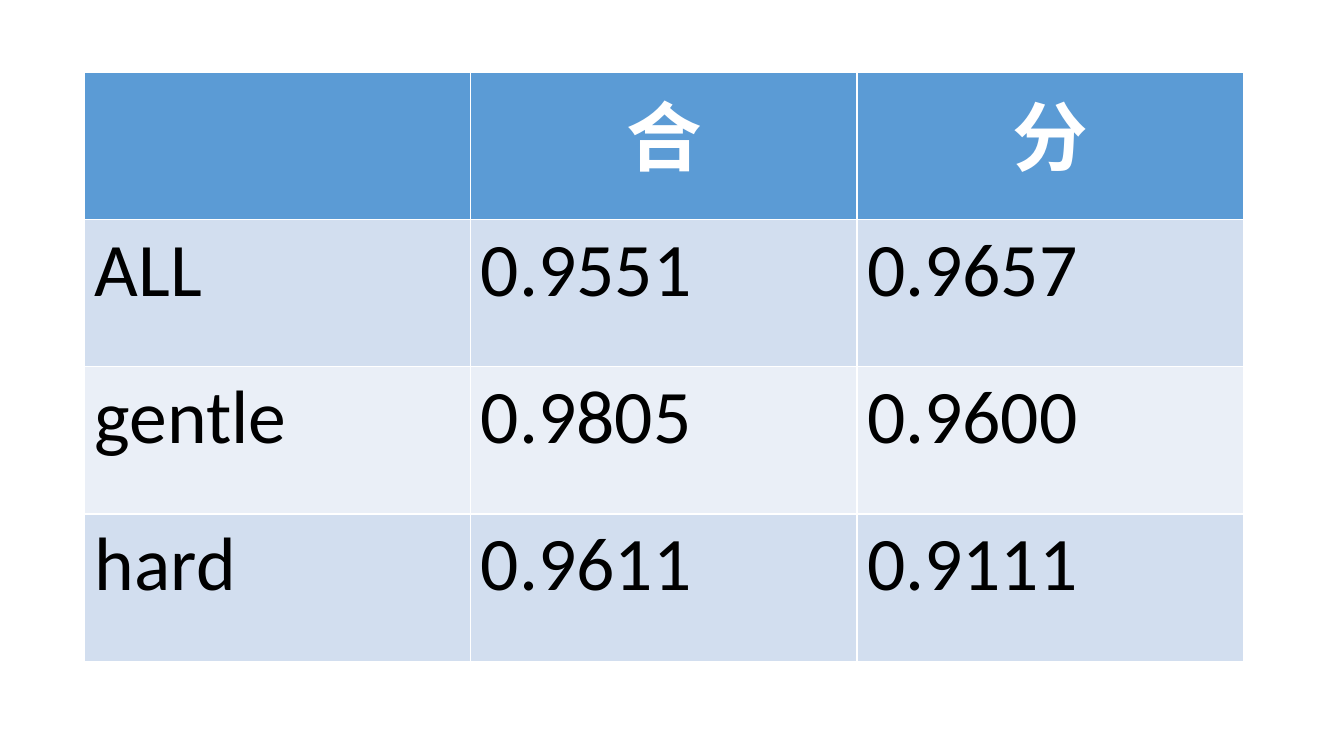
import pptx
import pptx.dml.color
import pptx.enum.text
import pptx.util

RGBColor = pptx.dml.color.RGBColor
Inches = pptx.util.Inches
ALIGN = pptx.enum.text.PP_ALIGN

# Content: the first row is the header
SCORES = [
    ("", "合", "分"),
    ("ALL", "0.9551", "0.9657"),
    ("gentle", "0.9805", "0.9600"),
    ("hard", "0.9611", "0.9111"),
]

# Formats
HEADER_BLUE = RGBColor(0x5B, 0x9B, 0xD5)
BAND_FILLS = (RGBColor(0xEA, 0xEF, 0xF7), RGBColor(0xD2, 0xDE, 0xEF))
WHITE = RGBColor(0xFF, 0xFF, 0xFF)
BLACK = RGBColor(0x00, 0x00, 0x00)
FONT = {"name": "Calibri", "size": pptx.util.Pt(54)}
HEADER_FONT = {**FONT, "bold": True}
BODY_FONT = {**FONT, "bold": False}

# Grid
LEFT, TOP = Inches(0.84), Inches(0.72)
COLUMN_WIDTH, ROW_HEIGHT = Inches(3.83), Inches(1.46)

deck = pptx.Presentation()
deck.slide_width, deck.slide_height = Inches(13.33), Inches(7.5)
page = deck.slides.add_slide(deck.slide_layouts.get_by_name("Blank"))

# Score table: the default table style draws the white rules
row_count, column_count = len(SCORES), len(SCORES[0])
table = page.shapes.add_table(
    row_count, column_count, LEFT, TOP,
    COLUMN_WIDTH * column_count, ROW_HEIGHT * row_count,
).table

for row_index, row in enumerate(SCORES):
    is_header = row_index == 0
    for column_index, text in enumerate(row):
        cell = table.cell(row_index, column_index)
        cell.fill.solid()
        cell.fill.fore_color.rgb = HEADER_BLUE if is_header else BAND_FILLS[row_index % 2]
        para = cell.text_frame.paragraphs[0]
        para.alignment = ALIGN.CENTER if is_header else ALIGN.LEFT
        if not text:
            continue
        span = para.add_run()
        span.text = text
        for name, value in (HEADER_FONT if is_header else BODY_FONT).items():
            setattr(span.font, name, value)
        span.font.color.rgb = WHITE if is_header else BLACK

deck.save("out.pptx")
